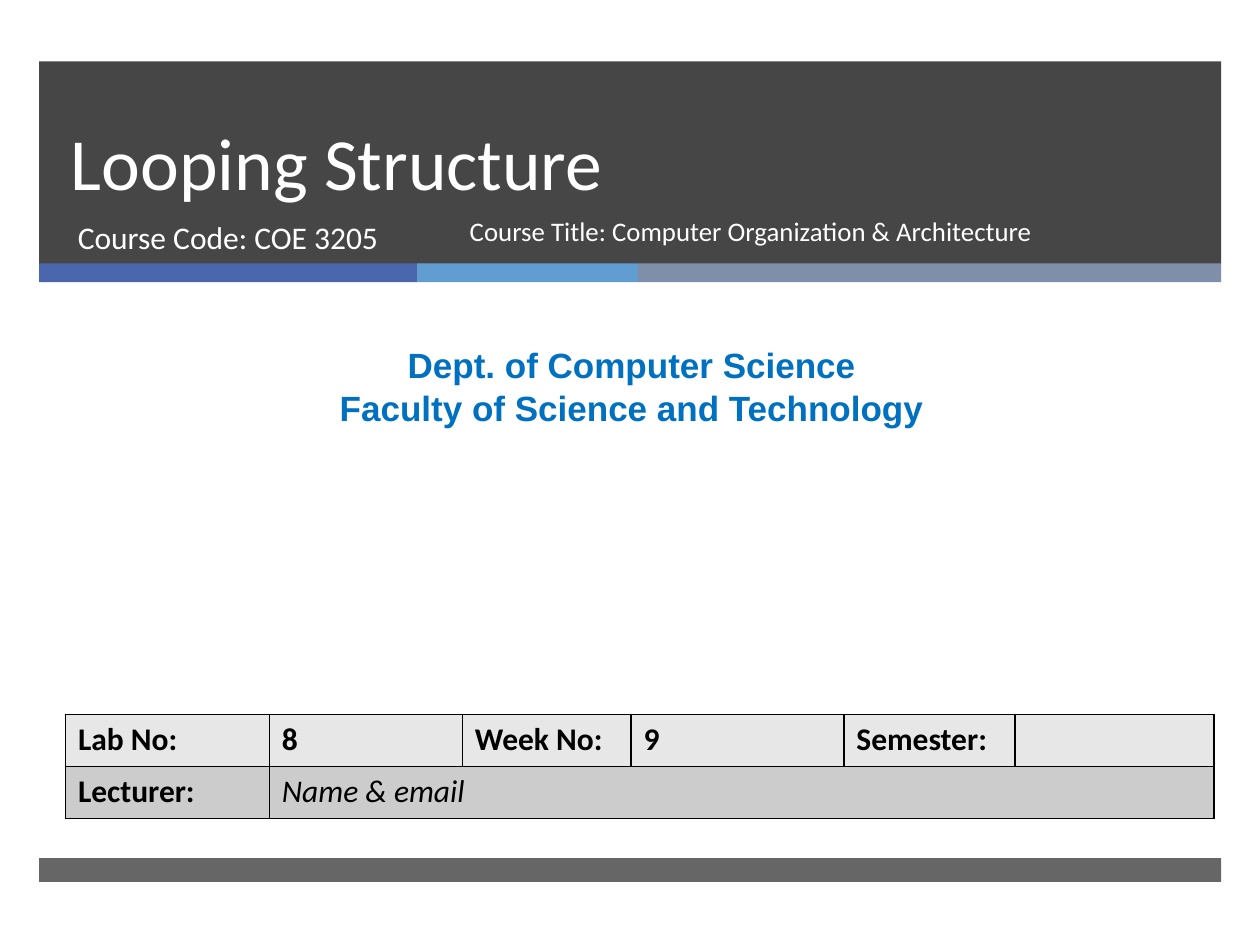
from lxml import etree
from pptx import Presentation
from pptx.dml.color import RGBColor
from pptx.enum.shapes import MSO_SHAPE
from pptx.enum.text import MSO_ANCHOR, MSO_AUTO_SIZE, PP_ALIGN
from pptx.oxml import parse_xml
from pptx.oxml.ns import qn
from pptx.util import Cm, Pt

RECTANGLE = MSO_SHAPE.RECTANGLE
TOP, BOTTOM = MSO_ANCHOR.TOP, MSO_ANCHOR.BOTTOM
LEFT, CENTER = PP_ALIGN.LEFT, PP_ALIGN.CENTER
NO_AUTOFIT = MSO_AUTO_SIZE.NONE

COLORS = {
    "charcoal": "262626",
    "indigo": "4A66AC",
    "sky": "629DD1",
    "slate": "7F8FA9",
    "white": "FFFFFF",
    "black": "000000",
    "heading": "0070C0",
    "light row": "E7E7E7",
    "dark row": "CCCCCC",
}
BODY_FONT = "Calibri"
TITLE_ONLY = 5
BAND_LEFT, BAND_WIDTH = 0.79, 23.83
STRIPES = [("indigo", 7.62), ("sky", 4.45), ("slate", 11.76)]
COLUMN_WIDTHS = [4.11, 3.89, 3.4, 4.29, 3.45, 4.01]
ROW_HEIGHT = 1.05
LAB_ROWS = [
    ("light row", ["Lab No:", "8", "Week No:", "9", "Semester:", ""]),
    ("dark row", ["Lecturer:", "Name & email", "", "", "", ""]),
]


def rgb(name):
    return RGBColor.from_string(COLORS[name])


class SlideBuilder:
    def __init__(self, page):
        self.page = page

    def place(self, shape, left, top, width, height):
        shape.left, shape.top = Cm(left), Cm(top)
        shape.width, shape.height = Cm(width), Cm(height)

    def bar(self, color, left, top, width, height, opacity=100):
        bar = self.page.shapes.add_shape(
            RECTANGLE, Cm(left), Cm(top), Cm(width), Cm(height))
        bar.shadow.inherit = False
        bar.line.fill.background()
        bar.fill.solid()
        bar.fill.fore_color.rgb = rgb(color)
        if opacity < 100:
            color_node = bar.element.spPr.find(qn("a:solidFill"))[0]
            alpha = etree.SubElement(color_node, qn("a:alpha"))
            alpha.set("val", str(opacity * 1000))

    def style(self, para, size, color="white", font=BODY_FONT, bold=False,
              italic=False, align=LEFT):
        para.alignment = align
        para.font.name = font
        para.font.size = Pt(size)
        para.font.bold = bold
        para.font.italic = italic
        para.font.color.rgb = rgb(color)

    def title(self, text, size, line_spacing, *frame):
        title = self.page.shapes.title
        self.place(title, *frame)
        # The title must lie in front of the header band.
        title.element.getparent().append(title.element)
        title.text_frame.text = text
        title.text_frame.auto_size = NO_AUTOFIT
        title.text_frame.vertical_anchor = BOTTOM
        para = title.text_frame.paragraphs[0]
        para.line_spacing = line_spacing
        self.style(para, size)

    def text(self, lines, size, left, top, width, height, line_spacing=1.0,
             **style):
        box = self.page.shapes.add_textbox(
            Cm(left), Cm(top), Cm(width), Cm(height))
        box.text_frame.word_wrap = True
        box.text_frame.vertical_anchor = TOP
        box.text_frame.text = "\n".join(lines)
        for para in box.text_frame.paragraphs:
            para.line_spacing = line_spacing
            self.style(para, size, **style)

    def border(self, cell, width=Pt(1)):
        properties = cell._tc.get_or_add_tcPr()
        namespace = "http://schemas.openxmlformats.org/drawingml/2006/main"
        for position, side in enumerate(("lnL", "lnR", "lnT", "lnB")):
            properties.insert(position, parse_xml(
                f'<a:{side} xmlns:a="{namespace}" w="{width}"><a:solidFill>'
                f'<a:srgbClr val="{COLORS["black"]}"/></a:solidFill></a:{side}>'))

    def table(self, rows, column_widths, row_height, left, top):
        table = self.page.shapes.add_table(
            len(rows), len(column_widths), Cm(left), Cm(top),
            Cm(sum(column_widths)), Cm(row_height * len(rows))).table
        table.first_row = table.horz_banding = False
        for column, width in zip(table.columns, column_widths):
            column.width = Cm(width)
        for row_index, (color, texts) in enumerate(rows):
            for column_index, text in enumerate(texts):
                cell = table.cell(row_index, column_index)
                cell.fill.solid()
                cell.fill.fore_color.rgb = rgb(color)
                self.border(cell)
                cell.text = text
                hint = row_index == 1 and column_index > 0
                self.style(cell.text_frame.paragraphs[0], 18, "black",
                           bold=not hint, italic=hint)
        table.cell(1, 1).merge(table.cell(1, len(column_widths) - 1))


def main():
    deck = Presentation()
    deck.slide_width, deck.slide_height = Cm(25.4), Cm(19.05)
    builder = SlideBuilder(
        deck.slides.add_slide(deck.slide_layouts[TITLE_ONLY]))

    builder.bar("charcoal", BAND_LEFT, 1.24, BAND_WIDTH, 4.09, opacity=85)
    stripe_left = BAND_LEFT
    for color, width in STRIPES:
        builder.bar(color, stripe_left, 5.31, width, 0.38)
        stripe_left += width
    builder.bar("charcoal", BAND_LEFT, 17.3, BAND_WIDTH, 0.48, opacity=70)

    builder.title("Looping Structure", 42, Pt(46), 1.17, 1.24, 21.69, 3.02)
    builder.text(["Course Code: COE 3205"], 18, 1.32, 4.27, 7.75, 1.35)
    builder.text(["Course Title: Computer Organization & Architecture"], 15.3,
                 9.22, 4.27, 11.91, 1.35, line_spacing=0.9)
    builder.text(["Dept. of Computer Science",
                  "Faculty of Science and Technology"], 20,
                 0.2, 6.81, 25.07, 1.96,
                 color="heading", font="Arial", bold=True, align=CENTER)
    builder.table(LAB_ROWS, COLUMN_WIDTHS, ROW_HEIGHT, 1.32, 14.4)
    deck.save("out.pptx")


if __name__ == "__main__":
    main()
